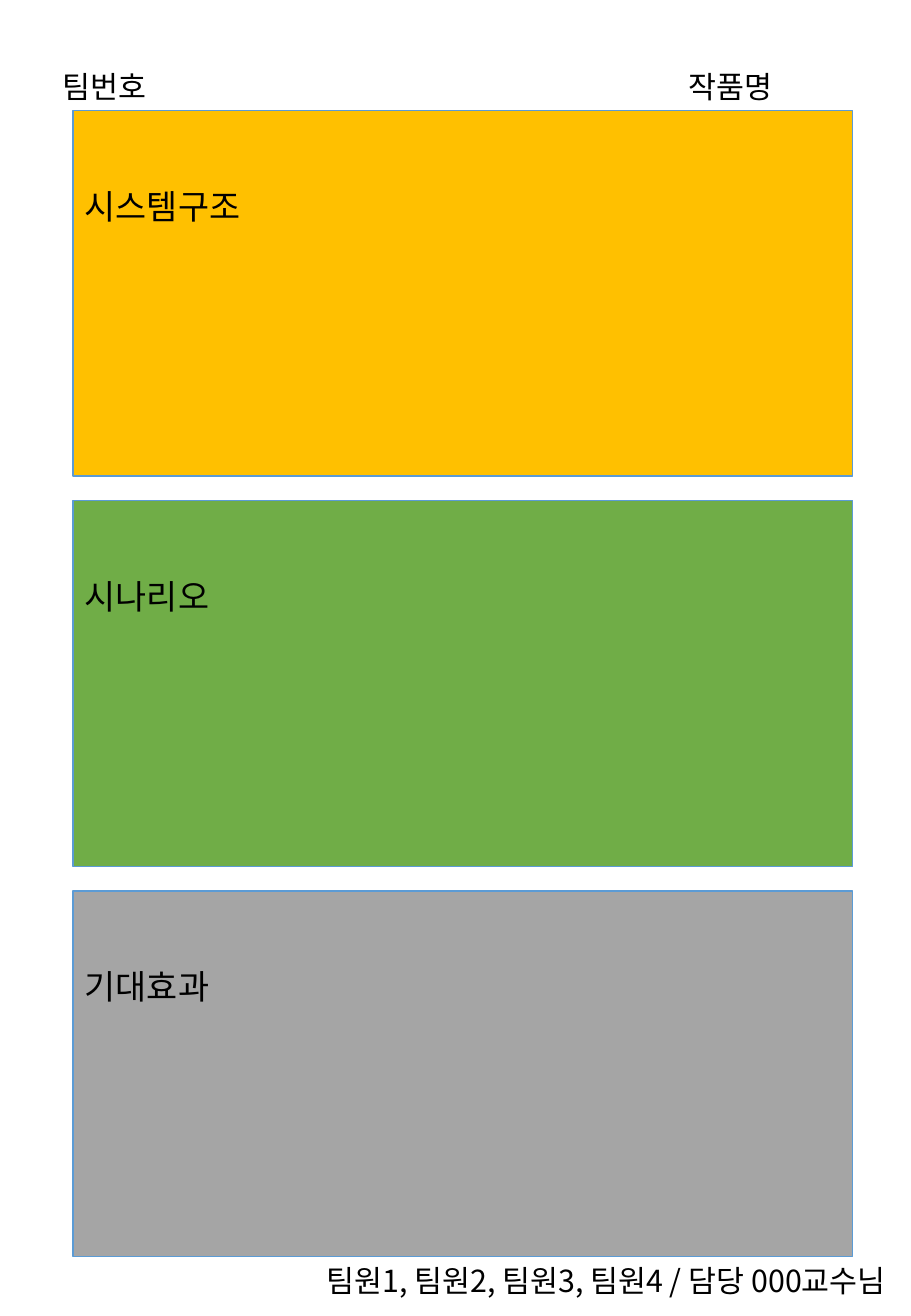
from lxml.etree import SubElement
from pptx import Presentation
from pptx.dml.color import RGBColor
from pptx.enum.shapes import MSO_SHAPE
from pptx.enum.text import MSO_ANCHOR, MSO_AUTO_SIZE, PP_ALIGN
from pptx.oxml.ns import qn
from pptx.util import Inches, Pt

FONT = "Noto Sans CJK KR"
COLORS = {
    "text": "000000",
    "line": "5B9BD5",
    "system": "FFC000",
    "story": "70AD47",
    "effect": "A5A5A5",
}


def color(name):
    return RGBColor.from_string(COLORS[name])


def write(frame, text, size, align):
    frame.word_wrap = True
    para = frame.paragraphs[0]
    para.text = text
    para.alignment = align
    para.font.size = Pt(size)
    para.font.name = FONT
    para.font.color.rgb = color("text")
    SubElement(para.font._element, qn("a:ea"), typeface=FONT)
    return para


deck = Presentation()
deck.slide_width = Inches(7.5)
deck.slide_height = Inches(10.83)
slide = deck.slides.add_slide(deck.slide_layouts[6])

labels = [
    (0.42, 0.51, "팀번호\t작품명", PP_ALIGN.LEFT),
    (0.6, 10.34, "팀원1, 팀원2, 팀원3, 팀원4 / 담당 000교수님", PP_ALIGN.RIGHT),
]
paras = []
for left, top, text, align in labels:
    box = slide.shapes.add_textbox(Inches(left), Inches(top), Inches(6.79), Inches(0.4))
    paras.append(write(box.text_frame, text, 18, align))
    box.text_frame.auto_size = MSO_AUTO_SIZE.SHAPE_TO_FIT_TEXT

props = paras[0]._p.get_or_add_pPr()
tabs = SubElement(props, qn("a:tabLst"))
SubElement(tabs, qn("a:tab"), pos=str(Inches(5.15)), algn="l")
props.insert(0, tabs)

panels = [("시스템구조", "system"), ("시나리오", "story"), ("기대효과", "effect")]
for row, (title, fill) in enumerate(panels):
    panel = slide.shapes.add_shape(
        MSO_SHAPE.RECTANGLE,
        Inches(0.6), Inches(0.91 + row * 3.21), Inches(6.42), Inches(3.01),
    )
    panel.shadow.inherit = False
    panel.fill.solid()
    panel.fill.fore_color.rgb = color(fill)
    panel.line.color.rgb = color("line")
    panel.line.width = Pt(1)
    frame = panel.text_frame
    frame.vertical_anchor = MSO_ANCHOR.TOP
    frame.margin_top = Inches(0.62)
    write(frame, title, 20, PP_ALIGN.LEFT)

deck.save("out.pptx")
